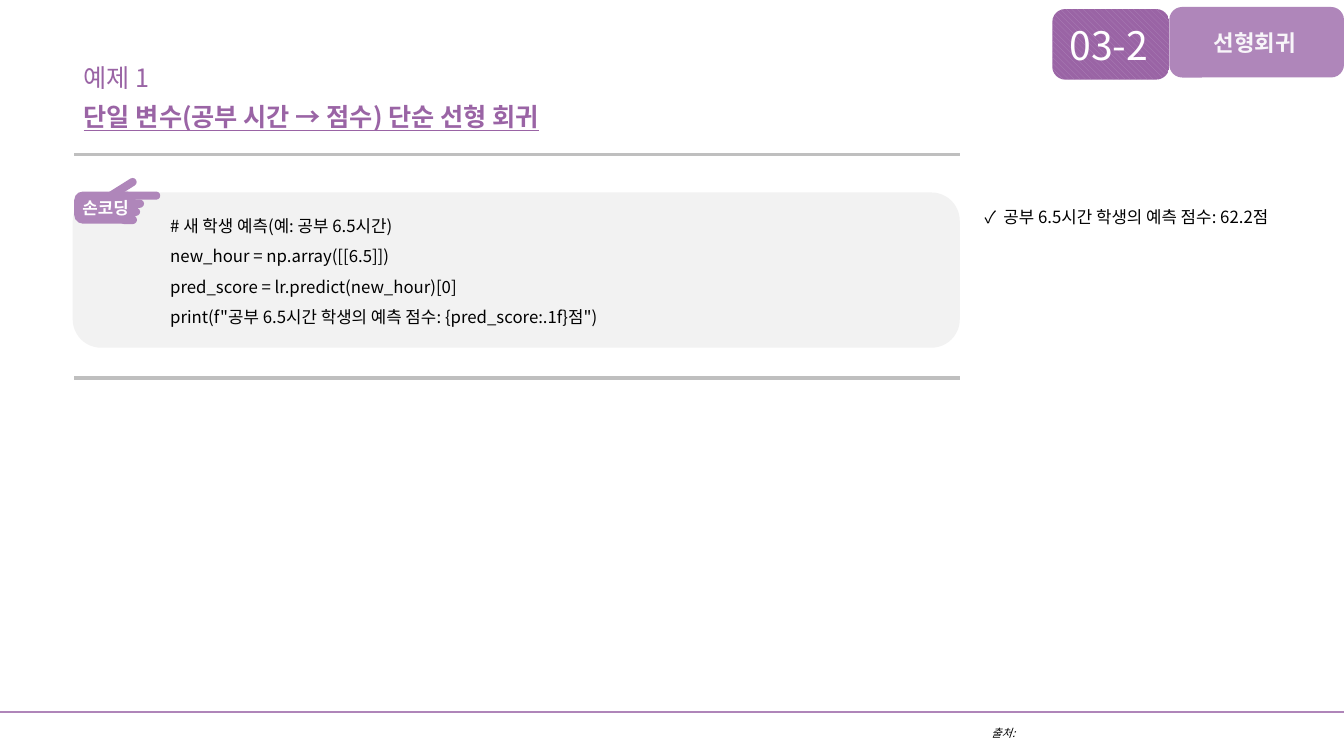
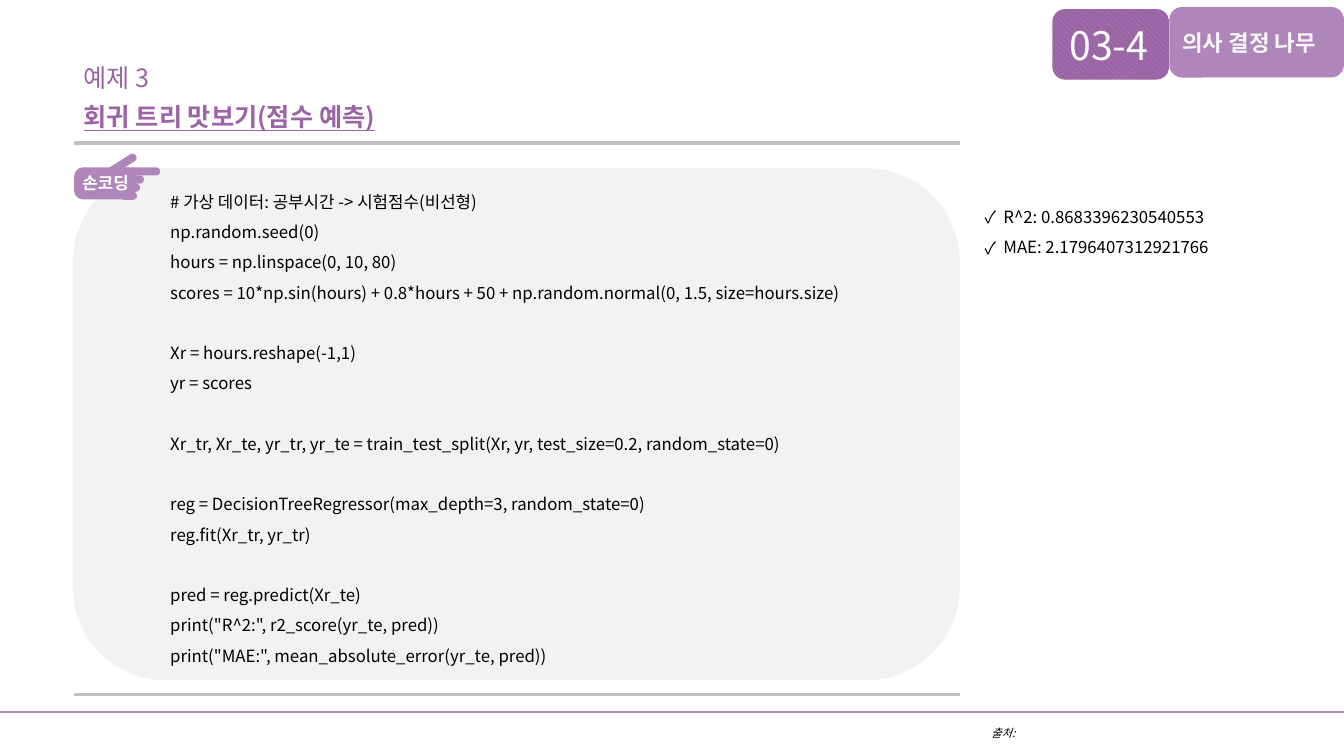
from lxml.etree import SubElement
from pptx import Presentation
from pptx.dml.color import RGBColor
from pptx.enum.dml import MSO_PATTERN
from pptx.enum.shapes import MSO_CONNECTOR, MSO_SHAPE
from pptx.enum.text import MSO_ANCHOR, MSO_AUTO_SIZE, PP_ALIGN
from pptx.oxml.ns import qn
from pptx.util import Pt


def paint(code):
    return RGBColor.from_string(code)


class Deck:
    font = "Noto Sans CJK KR"
    deep, mid, rim = "9A64A5", "AF86BA", "AF85B9"
    gray, pale = "BFBFBF", "F2F2F2"
    black, white, cream = "000000", "FFFFFF", "F8F5F9"
    left, right = 53, 686

    def __init__(self):
        self.file = Presentation()
        self.file.slide_width = Pt(960)
        self.file.slide_height = Pt(540)
        self.slide = None

    def fill_in(self, frame, blocks, size, color, bold=False, slant=False,
                under=False, space=None, mark=None):
        frame.word_wrap = True
        frame.auto_size = MSO_AUTO_SIZE.NONE
        for b, block in enumerate(blocks):
            for n, line in enumerate(block):
                first = b == 0 and n == 0
                para = frame.paragraphs[0] if first else frame.add_paragraph()
                para.alignment = PP_ALIGN.LEFT
                if space:
                    para.line_spacing = space
                if b and n == 0:
                    para.space_before = Pt(size * 1.8)
                if mark:
                    self.mark(para, mark)
                run = para.add_run()
                run.text = line
                font = run.font
                font.size, font.name = Pt(size), self.font
                font.bold, font.italic, font.underline = bold, slant, under
                font.color.rgb = paint(color)
                SubElement(run._r.get_or_add_rPr(), qn("a:ea"), typeface=self.font)

    def mark(self, para, sign):
        props = para._p.get_or_add_pPr()
        props.set("marL", str(Pt(13.5)))
        props.set("indent", str(-Pt(13.5)))
        SubElement(props, qn("a:buFont"), typeface=self.font)
        SubElement(props, qn("a:buChar"), char=sign)

    def text(self, x, y, w, h, blocks, size, color, **style):
        box = self.slide.shapes.add_textbox(Pt(x), Pt(y), Pt(w), Pt(h))
        self.fill_in(box.text_frame, blocks, size, color, **style)

    def title(self, label):
        head = self.slide.shapes.title
        head.left, head.top = Pt(52.6), Pt(69)
        head.width, head.height = Pt(604), Pt(29)
        head.text_frame.vertical_anchor = MSO_ANCHOR.TOP
        self.fill_in(head.text_frame, [[label]], 18, self.deep, bold=True, under=True)

    def rule(self, x, y, end, color, width):
        line = self.slide.shapes.add_connector(
            MSO_CONNECTOR.STRAIGHT, Pt(x), Pt(y), Pt(end), Pt(y))
        line.line.color.rgb = paint(color)
        line.line.width = Pt(width)
        SubElement(line._element.spPr, qn("a:effectLst"))

    def round(self, x, y, w, h, color, bend=0.183, turn=0, home=None):
        home = home or self.slide.shapes
        shape = home.add_shape(
            MSO_SHAPE.ROUNDED_RECTANGLE, Pt(x), Pt(y), Pt(w), Pt(h))
        shape.adjustments[0] = bend
        shape.rotation = turn
        shape.shadow.inherit = False
        shape.fill.solid()
        shape.fill.fore_color.rgb = paint(color)
        shape.line.fill.background()
        return shape

    def badge(self, x, y, w, label, size, color, inset, bold=False):
        shape = self.round(x, y, w, 50.4, self.mid)
        frame = shape.text_frame
        frame.margin_left, frame.margin_right = Pt(inset), 0
        frame.vertical_anchor = MSO_ANCHOR.MIDDLE
        self.fill_in(frame, [[label]], size, color, bold=bold)
        return shape

    def hand(self, y):
        home = self.slide.shapes.add_group_shape().shapes
        self.round(self.left, y, 44, 23, self.mid, 0.273, home=home)
        thick = 5.8
        bars = [(85.7, 28.8), (84.2, 18.7), (85.7, 14.4), (85.7, 12.2)]
        for n, (x, w) in enumerate(bars):
            self.round(x, y + n * thick, w, thick, self.mid, 0.5, home=home)
        self.round(70.6, y - 3.6, 28.8, thick, self.mid, 0.5, 327.9, home)
        self.text(51.8, y + 0.7, 60, 21.6, [["손코딩"]], 12, self.white, bold=True)

    def code(self, y, h, blocks):
        self.round(52, y, 633.6, h, self.pale)
        self.hand(y - 0.7)
        self.text(114.5, y + 6, 558, h - 19, blocks, 12, self.black, space=1.5)

    def page(self, part, topic, inset, task, title, lines, panel, blocks, notes):
        self.slide = self.file.slides.add_slide(self.file.slide_layouts[5])
        self.title(title)
        self.text(52.6, 30.2, 604, 36, [[task]], 18, self.deep, space=1.5)
        self.text(701, 515.5, 259, 17, [["출처:"]], 8, self.black, slant=True)
        self.rule(0, 508.3, 960, self.rim, 1.5)
        self.code(*panel, blocks)
        for y in lines:
            self.rule(self.left, y, self.right, self.gray, 2.25)
        fill = self.badge(751.7, 6.5, 83.5, part, 28, self.white, 9.5).fill
        fill.patterned()
        fill.pattern = MSO_PATTERN.WIDE_DOWNWARD_DIAGONAL
        fill.fore_color.rgb = paint(self.mid)
        fill.back_color.rgb = paint(self.deep)
        self.badge(835.2, 5, 124.8, topic, 16, self.cream, inset, bold=True)
        self.text(696.2, 136.8, 263.5, 26 + 22 * (len(notes) - 1), [notes], 12,
                  self.black, space=1.5, mark="✓")


def main():
    deck = Deck()
    deck.page(
        "03-2", "선형회귀", 29, "예제 1",
        "단일 변수(공부 시간 → 점수) 단순 선형 회귀",
        (110.2, 270), (137.5, 110.9),
        [["# 새 학생 예측(예: 공부 6.5시간)",
          "new_hour = np.array([[6.5]])",
          "pred_score = lr.predict(new_hour)[0]",
          'print(f"공부 6.5시간 학생의 예측 점수: {pred_score:.1f}점")']],
        ["공부 6.5시간 학생의 예측 점수: 62.2점"])
    deck.page(
        "03-4", "의사 결정 나무", 6.7, "예제 3",
        "회귀 트리 맛보기(점수 예측)",
        (102.2, 496.1), (120.2, 365.8),
        [["# 가상 데이터: 공부시간 -> 시험점수(비선형)",
          "np.random.seed(0)",
          "hours = np.linspace(0, 10, 80)",
          "scores = 10*np.sin(hours) + 0.8*hours + 50"
          " + np.random.normal(0, 1.5, size=hours.size)"],
         ["Xr = hours.reshape(-1,1)",
          "yr = scores"],
         ["Xr_tr, Xr_te, yr_tr, yr_te = "
          "train_test_split(Xr, yr, test_size=0.2, random_state=0)"],
         ["reg = DecisionTreeRegressor(max_depth=3, random_state=0)",
          "reg.fit(Xr_tr, yr_tr)"],
         ["pred = reg.predict(Xr_te)",
          'print("R^2:", r2_score(yr_te, pred))',
          'print("MAE:", mean_absolute_error(yr_te, pred))']],
        ["R^2: 0.8683396230540553", "MAE: 2.1796407312921766"])
    deck.file.save("out.pptx")


if __name__ == "__main__":
    main()
